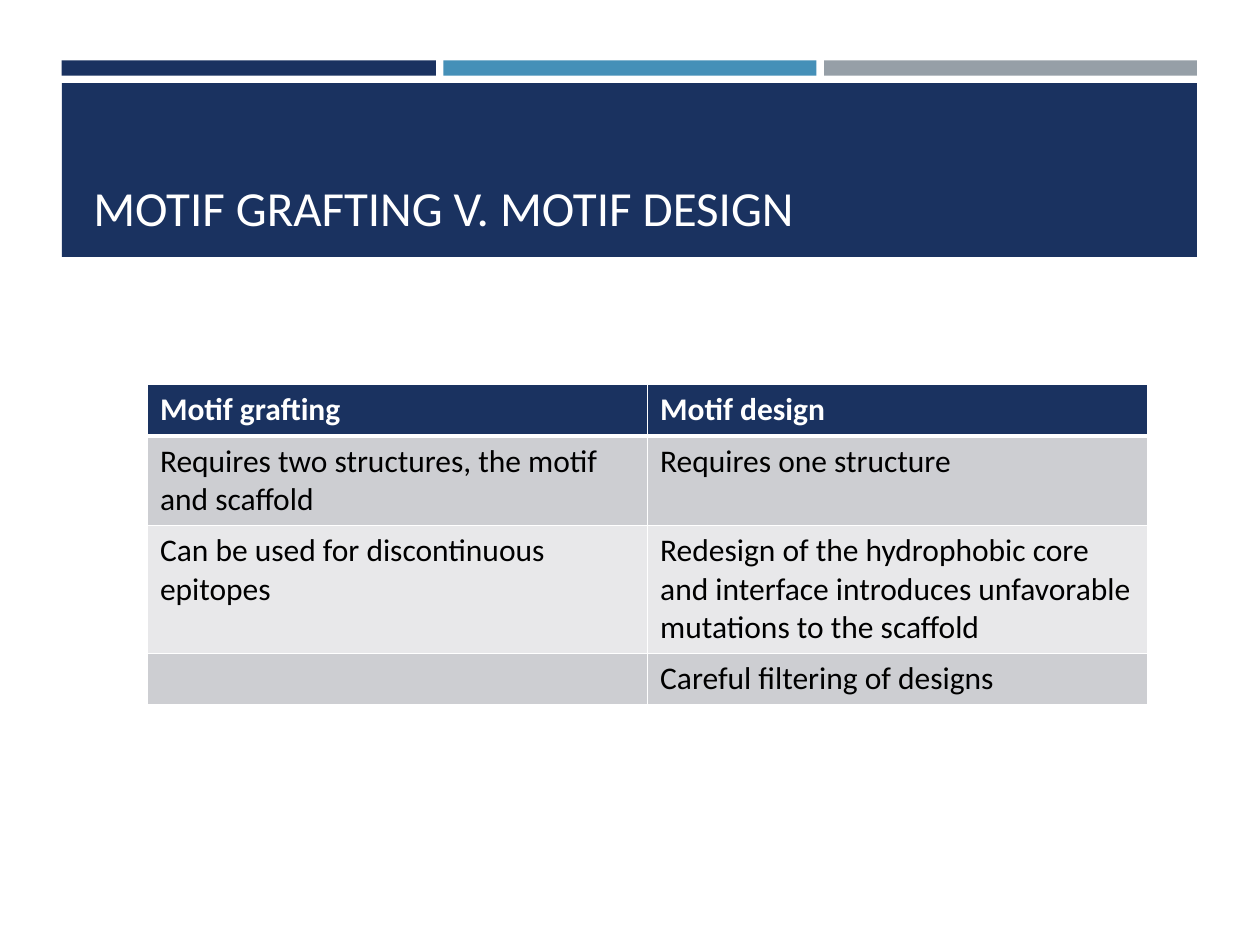
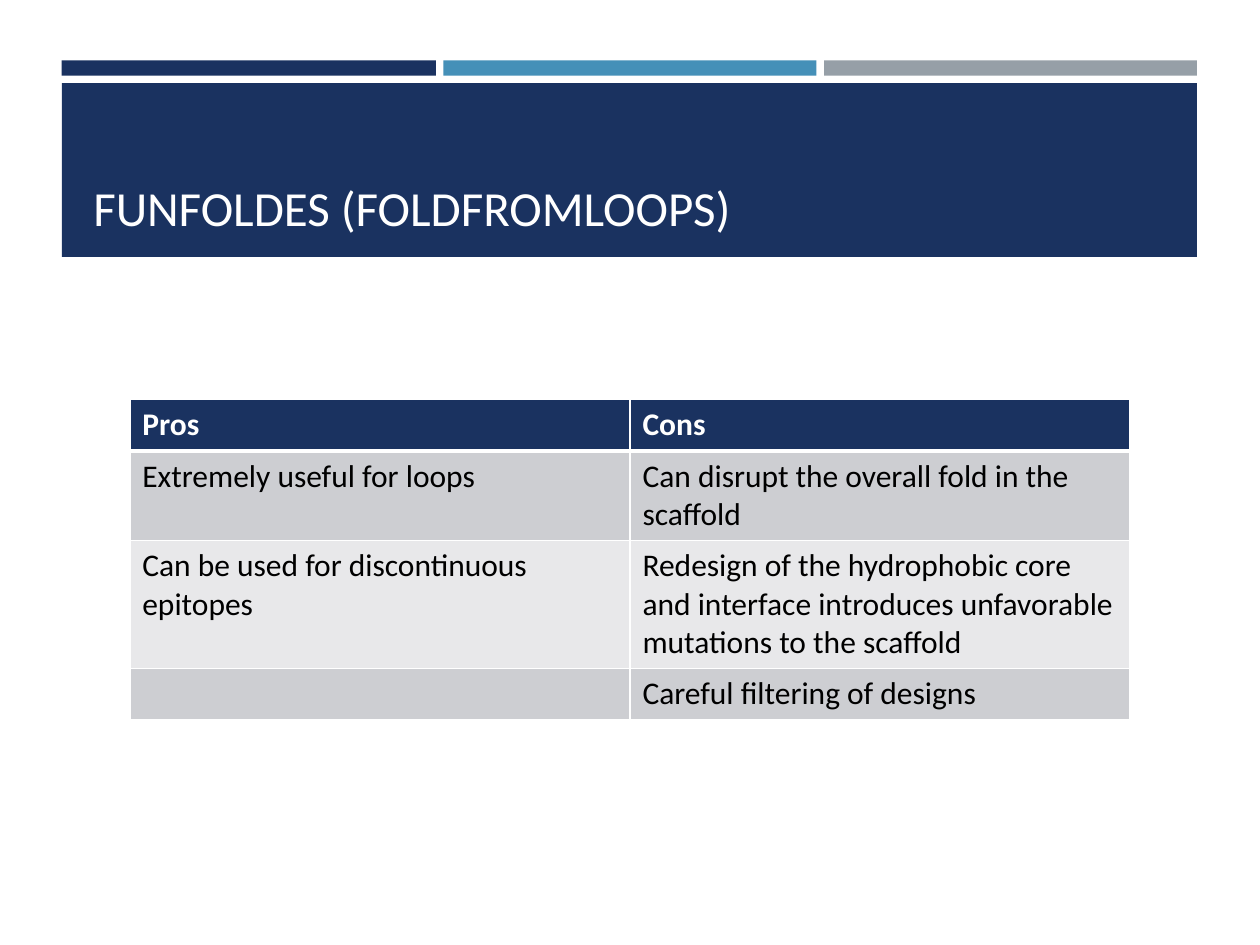
"""Build two slides that compare protein design methods in tables."""
from lxml.etree import SubElement
from pptx import Presentation
from pptx.dml.color import RGBColor
from pptx.enum.shapes import MSO_SHAPE
from pptx.enum.text import MSO_ANCHOR, PP_ALIGN
from pptx.oxml.ns import qn
from pptx.util import Inches, Pt

NAVY = RGBColor(0x1A, 0x32, 0x60)
BLUE = RGBColor(0x45, 0x90, 0xB8)
GREY = RGBColor(0x96, 0x9F, 0xA7)
WHITE = RGBColor(0xFF, 0xFF, 0xFF)
BLACK = RGBColor(0x00, 0x00, 0x00)
ODD_ROW = RGBColor(0xCD, 0xCE, 0xD2)
EVEN_ROW = RGBColor(0xE8, 0xE8, 0xEA)
FONT = "Calibri"

BANDS = [
    (0.49, 0.48, 2.97, 0.12, NAVY),
    (3.52, 0.48, 2.96, 0.12, BLUE),
    (6.54, 0.48, 2.96, 0.12, GREY),
    (0.49, 0.66, 9.01, 1.38, NAVY),
]

SHARED_ROWS = [
    ("Can be used for discontinuous epitopes",
     "Redesign of the hydrophobic core and interface introduces "
     "unfavorable mutations to the scaffold"),
    ("", "Careful filtering of designs"),
]
COMPARISONS = [
    ("MOTIF GRAFTING V. MOTIF DESIGN", 1.17, 3.05, [
        ("Motif grafting", "Motif design"),
        ("Requires two structures, the motif and scaffold",
         "Requires one structure"),
        *SHARED_ROWS,
    ]),
    ("FUNFOLDES (FOLDFROMLOOPS)", 1.03, 3.17, [
        ("Pros", "Cons"),
        ("Extremely useful for loops",
         "Can disrupt the overall fold in the scaffold"),
        *SHARED_ROWS,
    ]),
]


def style_text(paragraph, size, color, bold=False):
    for run in paragraph.runs:
        run.font.name = FONT
        run.font.size = Pt(size)
        run.font.bold = bold
        run.font.color.rgb = color


def add_border(cell, side, width):
    line = SubElement(cell._tc.get_or_add_tcPr(), qn(f"a:ln{side}"), w=str(Pt(width)))
    fill = SubElement(line, qn("a:solidFill"))
    SubElement(fill, qn("a:srgbClr"), val=str(WHITE))


prs = Presentation()
prs.slide_width = Inches(10)
prs.slide_height = Inches(7.5)

for heading, table_left, table_top, rows in COMPARISONS:
    slide = prs.slides.add_slide(prs.slide_layouts[5])

    for left, top, width, height, color in BANDS:
        band = slide.shapes.add_shape(
            MSO_SHAPE.RECTANGLE, Inches(left), Inches(top), Inches(width), Inches(height))
        band.shadow.inherit = False
        band.fill.solid()
        band.fill.fore_color.rgb = color
        band.line.fill.background()

    title = slide.shapes.title
    slide.shapes.element.append(title.element)
    title.left, title.top = Inches(0.64), Inches(0.75)
    title.width, title.height = Inches(8.74), Inches(1.18)
    title.text_frame.text = heading
    title.text_frame.vertical_anchor = MSO_ANCHOR.BOTTOM
    title.text_frame.paragraphs[0].alignment = PP_ALIGN.LEFT
    style_text(title.text_frame.paragraphs[0], 28, WHITE)

    table_frame = slide.shapes.add_table(
        len(rows), 2, Inches(table_left), Inches(table_top), Inches(7.94), Inches(2.51))
    table = table_frame.table
    for row_index, row in enumerate(rows):
        table.rows[row_index].height = Inches(0.41)
        is_header = row_index == 0
        row_fill = NAVY if is_header else ODD_ROW if row_index % 2 else EVEN_ROW
        for column_index, wording in enumerate(row):
            cell = table.cell(row_index, column_index)
            cell.text_frame.text = wording
            style_text(cell.text_frame.paragraphs[0], 18,
                       WHITE if is_header else BLACK, is_header)
            add_border(cell, "L", 1)
            add_border(cell, "R", 1)
            add_border(cell, "T", 3 if row_index == 1 else 1)
            add_border(cell, "B", 3 if is_header else 1)
            cell.fill.solid()
            cell.fill.fore_color.rgb = row_fill
    table_frame.height = Inches(2.51)

prs.save("out.pptx")
